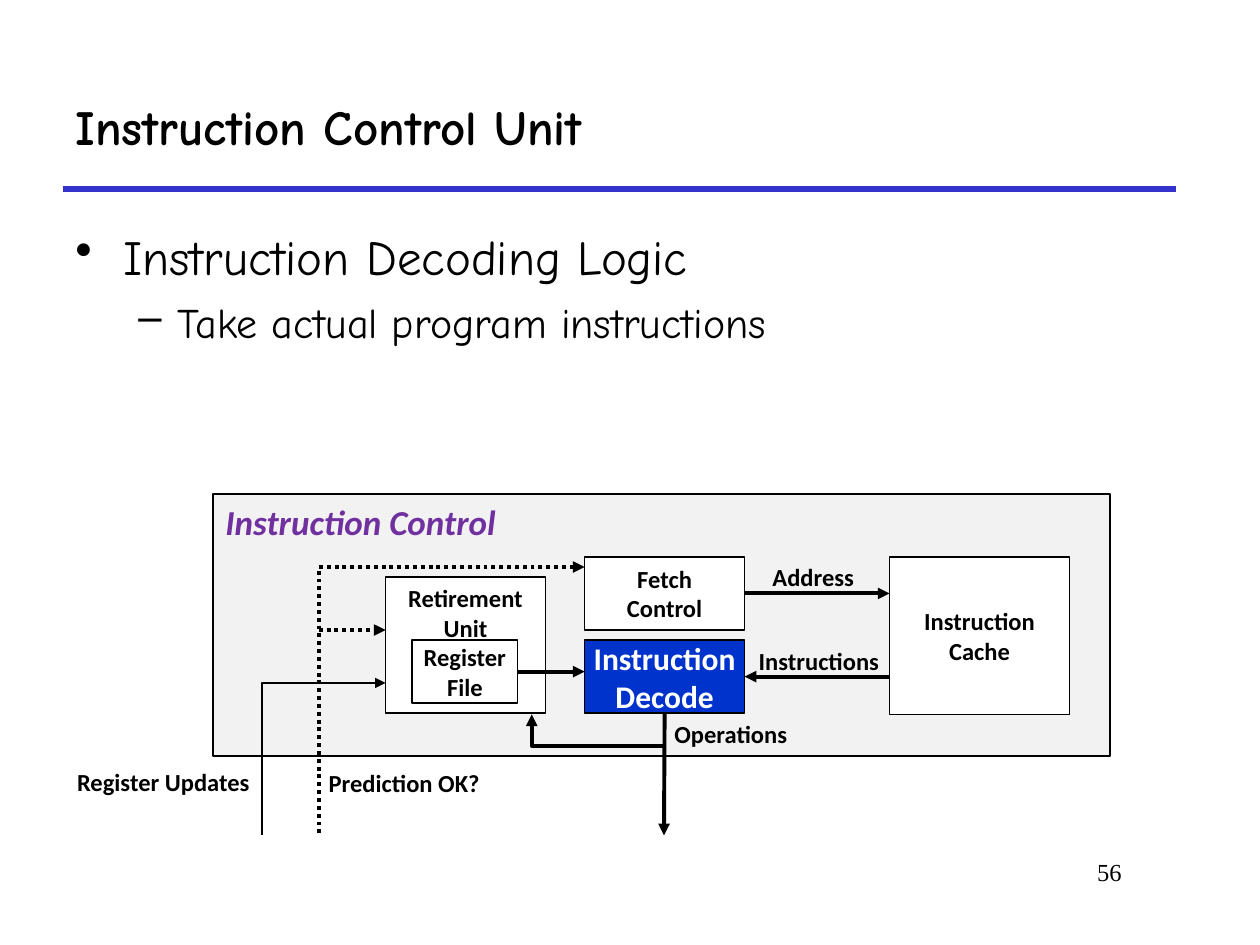
"""Build the Instruction Control Unit slide with its block diagram."""
from lxml.etree import SubElement
from pptx import Presentation
from pptx.dml.color import RGBColor
from pptx.enum.dml import MSO_LINE
from pptx.enum.shapes import MSO_CONNECTOR, MSO_SHAPE
from pptx.enum.text import MSO_ANCHOR as ANCHOR, PP_ALIGN as ALIGN
from pptx.oxml.ns import qn
from pptx.util import Inches, Pt


def write(shape, lines, size, font="Calibri", color="000000", bold=True,
          italic=False, align=ALIGN.LEFT, anchor=ANCHOR.TOP, wrap=False):
    frame = shape.text_frame
    frame.word_wrap = wrap
    frame.vertical_anchor = anchor
    for index, line in enumerate(lines):
        paragraph = frame.paragraphs[0] if index == 0 else frame.add_paragraph()
        paragraph.alignment = align
        run = paragraph.add_run()
        run.text = line
        run.font.name = font
        run.font.size = Pt(size)
        run.font.bold = bold
        run.font.italic = italic
        run.font.color.rgb = RGBColor.from_string(color)


def style_line(shape, width, arrow=None, dotted=False, color="000000"):
    shape.line.color.rgb = RGBColor.from_string(color)
    shape.line.width = Pt(width)
    if dotted:
        shape.line.dash_style = MSO_LINE.ROUND_DOT
    properties = shape.element.spPr
    if arrow:
        SubElement(properties.find(qn("a:ln")), qn(f"a:{arrow}"), type="triangle")
    if properties.find(qn("a:effectLst")) is None:
        SubElement(properties, qn("a:effectLst"))


deck = Presentation()
deck.slide_width, deck.slide_height = Inches(10), Inches(7.5)
slide = deck.slides.add_slide(deck.slide_layouts[6])
shapes = slide.shapes

title_rule = shapes.add_connector(
    MSO_CONNECTOR.STRAIGHT, Inches(0.5), Inches(1.5), Inches(9.33), Inches(1.5))
style_line(title_rule, 3, color="3333CC")

page_number = shapes.add_textbox(Inches(7.58), Inches(6.75), Inches(1.42), Inches(0.5))
write(page_number, ["56"], 14, "Times New Roman", bold=False, align=ALIGN.RIGHT, wrap=True)

title = shapes.add_textbox(Inches(0.5), Inches(0.5), Inches(8.83), Inches(1))
write(title, ["Instruction Control Unit"], 28, "Comic Neue", anchor=ANCHOR.MIDDLE, wrap=True)

body = shapes.add_textbox(Inches(0.5), Inches(1.75), Inches(9.08), Inches(4.83))
write(body, ["Instruction Decoding Logic", "Take actual program instructions"],
      28, "Comic Neue", bold=False, wrap=True)
topic, detail = body.text_frame.paragraphs
detail.level = 1
detail.space_before = Pt(6)
detail.runs[0].font.size = Pt(24)
for paragraph, bullet, margin, indent in [(topic, "•", 0.38, -0.38), (detail, "–", 0.81, -0.31)]:
    properties = paragraph._p.get_or_add_pPr()
    properties.set("marL", str(Inches(margin)))
    properties.set("indent", str(Inches(indent)))
    SubElement(properties, qn("a:buChar"), char=bullet)

centered = {"align": ALIGN.CENTER, "anchor": ANCHOR.MIDDLE}
blocks = {}
for lines, left, top, width, height, fill, border, size, style in [
    (["Instruction Control"], 1.69, 3.92, 7.12, 2.08, "F2F2F2", 1.5, 20,
     {"color": "7030A0", "italic": True}),
    (["Instruction", "Cache"], 7.06, 4.42, 1.43, 1.25, "FFFFFF", 0.75, 14, centered),
    (["Fetch", "Control"], 4.64, 4.42, 1.27, 0.58, "FFFFFF", 0.75, 14, centered),
    (["Instruction", "Decode"], 4.64, 5.08, 1.27, 0.58, "0033CC", 0.75, 18,
     {"color": "FFFFFF", **centered}),
    (["Retirement", "Unit"], 3.06, 4.58, 1.27, 1.08, "FFFFFF", 0.75, 14,
     {"align": ALIGN.CENTER}),
    (["Register", "File"], 3.27, 5.08, 0.84, 0.5, "FFFFFF", 0.75, 14, centered),
]:
    block = shapes.add_shape(
        MSO_SHAPE.RECTANGLE, Inches(left), Inches(top), Inches(width), Inches(height))
    block.shadow.inherit = False
    block.fill.solid()
    block.fill.fore_color.rgb = RGBColor.from_string(fill)
    style_line(block, border)
    write(block, lines, size, **style)
    blocks[lines[-1]] = block

for x1, y1, x2, y2, dotted, source, target in [
    (5.91, 4.71, 7.06, 4.71, False, ("Control", 3), None),
    (7.06, 5.37, 5.91, 5.37, False, None, ("Decode", 3)),
    (5.27, 5.66, 5.27, 6.63, False, ("Decode", 2), None),
    (4.11, 5.33, 4.64, 5.33, False, ("File", 3), None),
    (2.53, 5, 3.06, 5, True, None, None),
]:
    signal = shapes.add_connector(
        MSO_CONNECTOR.STRAIGHT, Inches(x1), Inches(y1), Inches(x2), Inches(y2))
    if source:
        signal.begin_connect(blocks[source[0]], source[1])
    if target:
        signal.end_connect(blocks[target[0]], target[1])
    style_line(signal, 2.25, "tailEnd", dotted)

for points, width, arrow, dotted in [
    ([(4.64, 4.5), (2.53, 4.5), (2.53, 6.63)], 2.25, "headEnd", True),
    ([(3.06, 5.42), (2.08, 5.42), (2.08, 6.63)], 1.5, "headEnd", False),
    ([(5.27, 5.92), (4.22, 5.92), (4.22, 5.67)], 2.25, "tailEnd", False),
]:
    start, *bends = [(Inches(x), Inches(y)) for x, y in points]
    builder = shapes.build_freeform(*start)
    builder.add_line_segments(bends, close=False)
    route = builder.convert_to_shape()
    route.shadow.inherit = False
    route.fill.background()
    style_line(route, width, arrow, dotted)

for label, left, top, width, align in [
    ("Address", 6.03, 4.41, 0.85, ALIGN.CENTER),
    ("Instructions", 5.92, 5.08, 1.16, ALIGN.CENTER),
    ("Operations", 5.25, 5.66, 1.1, ALIGN.CENTER),
    ("Prediction OK?", 2.51, 6.05, 1.4, ALIGN.LEFT),
    ("Register Updates", 0.5, 6.04, 1.58, ALIGN.RIGHT),
]:
    caption = shapes.add_textbox(Inches(left), Inches(top), Inches(width), Inches(0.34))
    write(caption, [label], 14, align=align)

deck.save("out.pptx")
